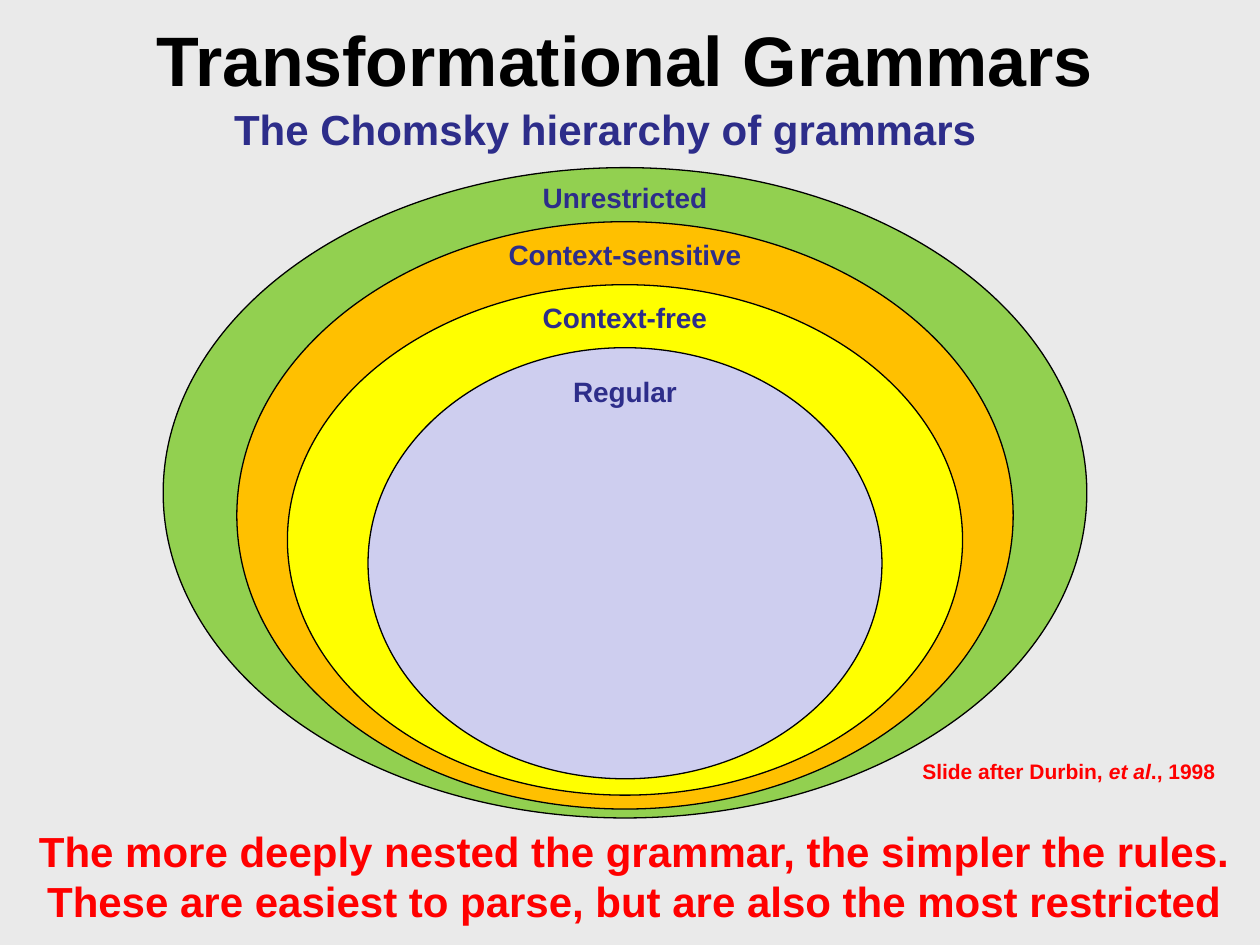
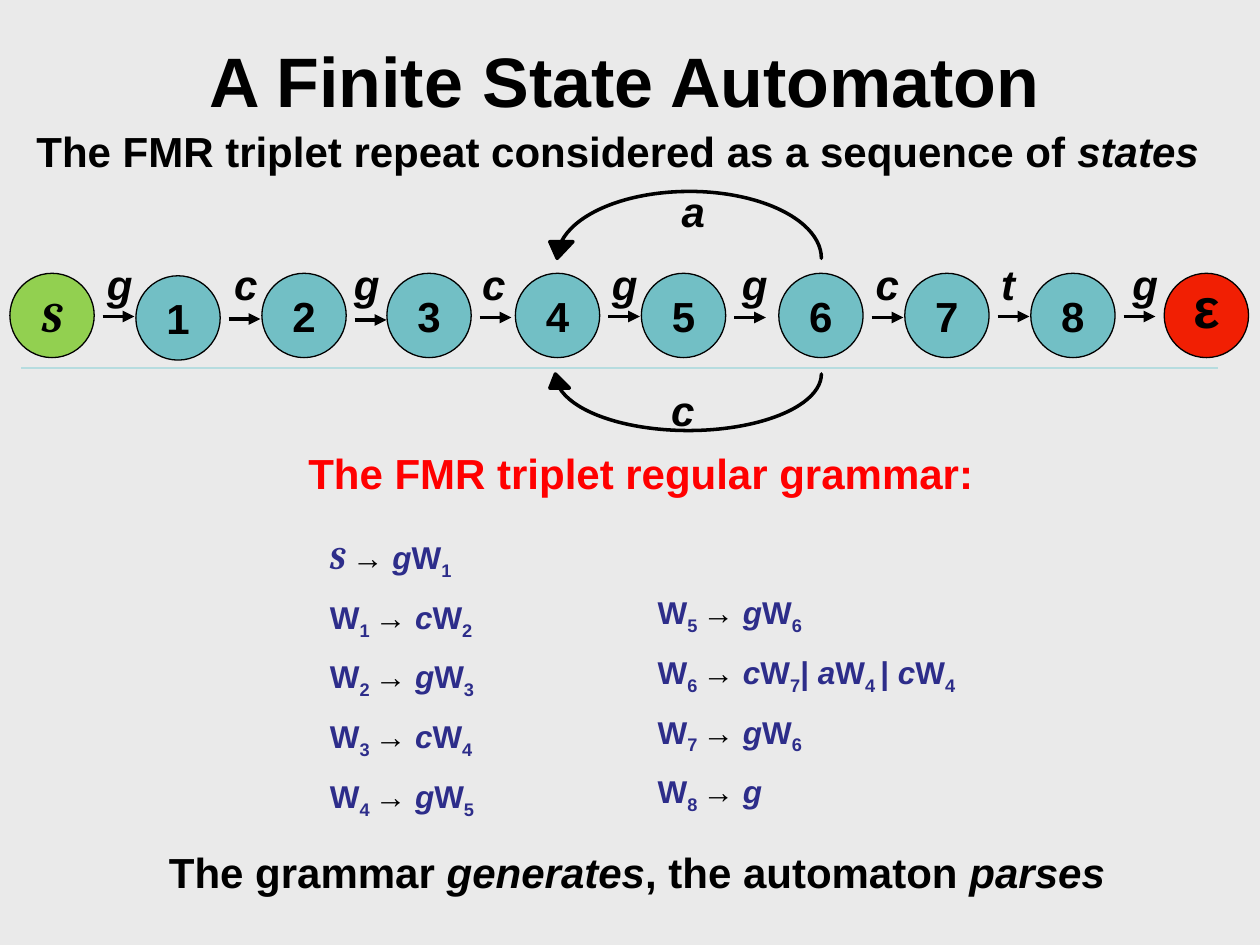
from dataclasses import dataclass

from lxml import etree
from pptx import Presentation
from pptx.dml.color import RGBColor
from pptx.enum import shapes, text
from pptx.oxml import ns
from pptx.util import Cm, Pt


@dataclass(frozen=True)
class Theme:
    background: str = "EAEAEA"
    black: str = "000000"
    navy: str = "2D2D8A"
    red: str = "FF0000"
    green: str = "92D050"
    orange: str = "FFC000"
    yellow: str = "FFFF00"
    lavender: str = "CECEEF"
    teal: str = "72BFC5"
    end_red: str = "F11F03"
    rule: str = "B6DCDF"
    font: str = "Arial"
    symbol_font: str = "Cambria"
    title: int = 40
    epsilon: int = 32
    body: int = 24
    grammar: int = 18
    label: int = 16
    credit: int = 12


theme = Theme()
rgb = RGBColor.from_string


def add_text(slide, box, content, size, color=theme.black, anchor=text.MSO_ANCHOR.TOP):
    sp = slide.shapes.add_textbox(*map(Cm, box))
    tf = sp.text_frame
    tf.word_wrap = True
    tf.vertical_anchor = anchor
    p = tf.paragraphs[0]
    p.alignment = text.PP_ALIGN.CENTER
    for i, part in enumerate(content.split("_")):
        if part:
            r = p.add_run()
            r.text = part
            r.font.name = theme.font
            r.font.size = Pt(size)
            r.font.bold = True
            r.font.italic = i % 2 == 1
            r.font.color.rgb = rgb(color)


def add_preset(slide, kind, box, fill, width):
    sp = slide.shapes.add_shape(kind, *map(Cm, box))
    sp.shadow.inherit = False
    sp.fill.solid()
    sp.fill.fore_color.rgb = rgb(fill)
    sp.line.color.rgb = rgb(theme.black)
    sp.line.width = Pt(width)
    return sp


prs = Presentation()
prs.slide_width, prs.slide_height = Cm(25.4), Cm(19.05)
bg = prs.slide_master.background.fill
bg.solid()
bg.fore_color.rgb = rgb(theme.background)
blank = prs.slide_layouts[6]

slide = prs.slides.add_slide(blank)
add_text(slide, (2.11, 0.2, 20.96, 1.96), "Transformational Grammars", theme.title)
add_text(slide, (1.72, 1.96, 20.96, 1.27), "The Chomsky hierarchy of grammars",
         theme.body, theme.navy)

hierarchy = [
    ("Unrestricted", theme.green, 3.38, 18.62, 13.11, 3.51),
    ("Context-sensitive", theme.orange, 4.47, 15.65, 11.84, 4.67),
    ("Context-free", theme.yellow, 5.74, 13.61, 10.29, 5.94),
    ("Regular", theme.lavender, 7.01, 10.36, 8.69, 7.42),
]
center = 12.6
for name, fill, top, width, height, label_top in hierarchy:
    add_preset(slide, shapes.MSO_SHAPE.OVAL, (center - width / 2, top, width, height), fill, 0.75)
    add_text(slide, (center - 2.75, label_top, 5.5, 0.94), name, theme.label, theme.navy)

add_text(slide, (17.86, 15.16, 7.37, 0.76), "Slide after Durbin, _et al_., 1998",
         theme.credit, theme.red)
add_text(slide, (0.3, 16.51, 24.97, 2.31),
         "The more deeply nested the grammar, the simpler the rules. "
         "These are easiest to parse, but are also the most restricted",
         theme.body, theme.red)

slide = prs.slides.add_slide(blank)
add_text(slide, (2.11, 0.64, 20.96, 1.96), "A Finite State Automaton", theme.title)
add_text(slide, (0.17, 2.41, 24.56, 1.27),
         "The FMR triplet repeat considered as a sequence of _states_", theme.body)

states = [
    ("S", 0.2, 5.51), ("1", 2.74, 5.56), ("2", 5.28, 5.51), ("3", 7.8, 5.51),
    ("4", 10.39, 5.51), ("5", 12.93, 5.51), ("6", 15.7, 5.51), ("7", 18.24, 5.51),
    ("8", 20.78, 5.51), ("ε", 23.47, 5.51),
]
fills = {"S": theme.green, "ε": theme.end_red}
for name, left, top in states:
    sp = add_preset(slide, shapes.MSO_SHAPE.OVAL, (left, top, 1.7, 1.7),
                    fills.get(name, theme.teal), 0.75)
    tf = sp.text_frame
    tf.margin_left = tf.margin_right = tf.margin_top = tf.margin_bottom = 0
    tf.word_wrap = False
    tf.vertical_anchor = text.MSO_ANCHOR.MIDDLE
    tf.text = name
    p = tf.paragraphs[0]
    p.alignment = text.PP_ALIGN.CENTER
    f = p.runs[0].font
    f.name = theme.symbol_font if name == "S" else theme.font
    f.size = Pt(theme.epsilon if name == "ε" else theme.body)
    f.bold = True
    f.italic = name == "S"
    f.color.rgb = rgb(theme.black)
    if name == "ε":
        tf.margin_bottom = Cm(0.36)

lines = [(0.43, 24.56, 7.42, theme.rule, 0.75)]
arrow_tops = [6.38, 6.43, 6.45, 6.4, 6.38, 6.4, 6.4, 6.38, 6.38]
for (name, left, top), y in zip(states, arrow_tops):
    lines.append((left + 1.87, left + 2.51, y, theme.black, 2.25))
for x1, x2, y, color, width in lines:
    cx = slide.shapes.add_connector(shapes.MSO_CONNECTOR.STRAIGHT, Cm(x1), Cm(y), Cm(x2), Cm(y))
    cx.line.color.rgb = rgb(color)
    cx.line.width = Pt(width)
    if color == theme.black:
        etree.SubElement(cx.line._get_or_add_ln(), ns.qn("a:tailEnd"), type="triangle")
    etree.SubElement(cx._element.spPr, ns.qn("a:effectLst"))

for top, height, flips in [(7.54, 1.14, ["flipH"]), (3.86, 1.35, ["flipH", "flipV"])]:
    sp = add_preset(slide, shapes.MSO_SHAPE.CURVED_UP_ARROW, (11, top, 5.56, height),
                    theme.black, 2)
    for i, value in enumerate([0, 0.346, 0.25]):
        sp.adjustments[i] = value
    for flip in flips:
        sp._element.spPr.get_or_add_xfrm().set(flip, "1")

emissions = [
    ("g", 1.78, 5.08), ("c", 4.32, 5.08), ("g", 6.76, 5.08), ("c", 9.32, 5.08),
    ("g", 11.96, 5.08), ("g", 14.58, 5.08), ("c", 17.25, 5.08), ("t", 19.69, 5.08),
    ("g", 22.45, 5.08), ("c", 13.13, 7.62), ("a", 13.34, 3.61),
]
for letter, left, top in emissions:
    add_text(slide, (left, top, 1.27, 1.27), f"_{letter}_", theme.body,
             anchor=text.MSO_ANCHOR.BOTTOM)

add_text(slide, (0.64, 8.89, 24.56, 1.27), "The FMR triplet regular grammar:",
         theme.body, theme.red)

columns = [
    (6.4, 10.72, ["S _→ _g_W_1", "W_1 _→ _c_W_2", "W_2 _→ _g_W_3",
                  "W_3 _→ _c_W_4", "W_4 _→ _g_W_5"]),
    (13.01, 11.83, ["W_5 _→ _g_W_6", "W_6 _→ _c_W_7_| _a_W_4 _| _c_W_4",
                    "W_7 _→ _g_W_6", "W_8 _→ _g"]),
]
for left, top, rules in columns:
    tf = slide.shapes.add_textbox(Cm(left), Cm(top), Cm(6.86), Cm(5.8)).text_frame
    tf.word_wrap = True
    for i, rule in enumerate(rules):
        p = tf.add_paragraph() if i else tf.paragraphs[0]
        p.space_before = Pt(9.6 if i else 0)
        for token in rule.split("_"):
            symbol = token.strip()
            r = p.add_run()
            r.text = token
            f = r.font
            f.name = theme.symbol_font if symbol == "S" else theme.font
            f.size = Pt(theme.grammar)
            f.bold = symbol != "→"
            f.italic = symbol == "S" or symbol.islower()
            f.color.rgb = rgb(theme.black if symbol == "→" else theme.navy)
            if symbol.isdigit():
                f._element.set("baseline", "-25000")

add_text(slide, (2.26, 16.94, 21.16, 1.27),
         "The grammar _generates_, the automaton _parses_", theme.body)

prs.save("out.pptx")
